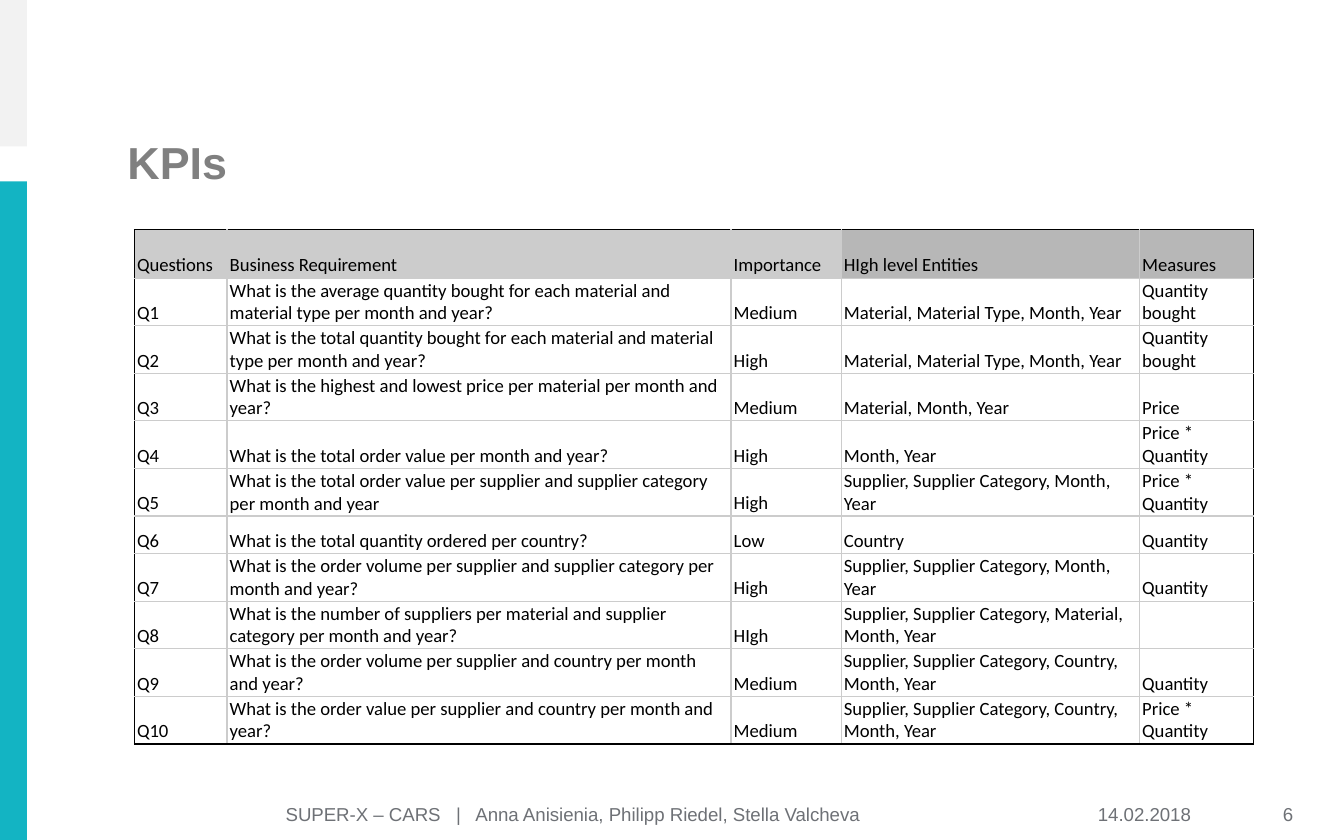
from lxml import etree
from pptx import Presentation
from pptx.dml.color import RGBColor
from pptx.enum.shapes import MSO_SHAPE
from pptx.enum.text import MSO_ANCHOR, PP_ALIGN
from pptx.oxml.ns import qn
from pptx.util import Inches, Pt

RECTANGLE = MSO_SHAPE.RECTANGLE
LEFT, CENTER, RIGHT = PP_ALIGN.LEFT, PP_ALIGN.CENTER, PP_ALIGN.RIGHT
MIDDLE, BOTTOM = MSO_ANCHOR.MIDDLE, MSO_ANCHOR.BOTTOM

COLORS = {
    "teal": "13B4C3",
    "pale": "F2F2F2",
    "title": "808080",
    "footer": "6E7176",
    "text": "000000",
    "frame": "000000",
    "grid": "CCCCCC",
    "header": "CCCCCC",
    "header_dark": "B7B7B7",
}

HEADERS = ["Questions", "Business Requirement", "Importance", "HIgh level Entities", "Measures"]
HEADER_FILLS = ["header"] * 3 + ["header_dark"] * 2
QUESTIONS = [
    ("What is the average quantity bought for each material and material type per month and year?",
     "Medium", "Material, Material Type, Month, Year", "Quantity bought"),
    ("What is the total quantity bought for each material and material type per month and year?",
     "High", "Material, Material Type, Month, Year", "Quantity bought"),
    ("What is the highest and lowest price per material per month and year?",
     "Medium", "Material, Month, Year", "Price"),
    ("What is the total order value per month and year?",
     "High", "Month, Year", "Price * Quantity"),
    ("What is the total order value per supplier and supplier category per month and year",
     "High", "Supplier, Supplier Category, Month, Year", "Price * Quantity"),
    ("What is the total quantity ordered per country?",
     "Low", "Country", "Quantity"),
    ("What is the order volume per supplier and supplier category per month and year?",
     "High", "Supplier, Supplier Category, Month, Year", "Quantity"),
    ("What is the number of suppliers per material and supplier category per month and year?",
     "HIgh", "Supplier, Supplier Category, Material, Month, Year", ""),
    ("What is the order volume per supplier and country per month and year?",
     "Medium", "Supplier, Supplier Category, Country, Month, Year", "Quantity"),
    ("What is the order value per supplier and country per month and year?",
     "Medium", "Supplier, Supplier Category, Country, Month, Year", "Price * Quantity"),
]
COLUMN_WIDTHS = [0.69, 3.75, 0.82, 2.22, 0.85]
ROW_HEIGHTS = [0.36] + [0.34] * 5 + [0.28] + [0.34] * 4


def write_text(text_frame, text, font="Arial", size=10, color="text", bold=False, align=LEFT):
    paragraph = text_frame.paragraphs[0]
    paragraph.alignment = align
    run = paragraph.add_run()
    run.text = text
    run.font.name = font
    run.font.size = Pt(size)
    run.font.bold = bold
    run.font.color.rgb = RGBColor.from_string(COLORS[color])


def add_text_box(slide, box, text, **text_format):
    text_frame = slide.shapes.add_textbox(*map(Inches, box)).text_frame
    text_frame.word_wrap = True
    text_frame.vertical_anchor = MIDDLE
    write_text(text_frame, text, **text_format)


def add_bar(slide, box, color):
    bar = slide.shapes.add_shape(RECTANGLE, *map(Inches, box))
    bar.shadow.inherit = False
    bar.fill.solid()
    bar.fill.fore_color.rgb = RGBColor.from_string(COLORS[color])
    bar.line.fill.background()


def add_side_band(slide, box):
    left, top, width, height = box
    pale_height, teal_top = 1.09, 1.35
    add_bar(slide, (left, top, width, pale_height), "pale")
    add_bar(slide, (left, top + teal_top, width, height - teal_top), "teal")


def set_borders(cell, colors):
    """Draw the cell edges; colors run left, right, top, bottom."""
    properties = cell._tc.get_or_add_tcPr()
    for index, (tag, color) in enumerate(zip(("a:lnL", "a:lnR", "a:lnT", "a:lnB"), colors)):
        line = etree.Element(qn(tag), w=str(Pt(0.75)))
        fill = etree.SubElement(line, qn("a:solidFill"))
        etree.SubElement(fill, qn("a:srgbClr"), val=COLORS[color])
        properties.insert(index, line)


def format_cell(cell, text, fill, edges):
    cell.margin_left = cell.margin_right = Inches(0.02)
    cell.margin_top = cell.margin_bottom = Inches(0.01)
    cell.vertical_anchor = BOTTOM
    if fill:
        cell.fill.solid()
        cell.fill.fore_color.rgb = RGBColor.from_string(COLORS[fill])
    else:
        cell.fill.background()
    set_borders(cell, ["frame" if outer else "grid" for outer in edges])
    write_text(cell.text_frame, text, font="Calibri")


def add_kpi_table(slide, box):
    rows = [HEADERS] + [(f"Q{number}", *question) for number, question in enumerate(QUESTIONS, 1)]
    last_row, last_column = len(rows) - 1, len(HEADERS) - 1
    table = slide.shapes.add_table(len(rows), len(HEADERS), *map(Inches, box)).table
    table.first_row = table.horz_banding = False
    for column, width in zip(table.columns, COLUMN_WIDTHS):
        column.width = Inches(width)
    for row_index, (values, height) in enumerate(zip(rows, ROW_HEIGHTS)):
        table.rows[row_index].height = Inches(height)
        for column_index, text in enumerate(values):
            fill = HEADER_FILLS[column_index] if row_index == 0 else None
            edges = (column_index == 0, column_index == last_column,
                     row_index == 0, row_index == last_row)
            format_cell(table.cell(row_index, column_index), text, fill, edges)


def add_footer(slide, box):
    left, top, width, height = box
    parts = [
        (0, 6.82, "SUPER-X – CARS   |   Anna Anisienia, Philipp Riedel, Stella Valcheva", CENTER),
        (7.22, 0.95, "14.02.2018", LEFT),
        (width - 0.64, 0.64, "6", RIGHT),
    ]
    for offset, part_width, text, align in parts:
        add_text_box(slide, (left + offset, top, part_width, height), text,
                     color="footer", align=align)


def main():
    presentation = Presentation()
    presentation.slide_width = Inches(10)
    presentation.slide_height = Inches(6.25)
    slide = presentation.slides.add_slide(presentation.slide_layouts[6])
    add_side_band(slide, (0, 0, 0.2, 6.25))
    add_text_box(slide, (0.85, 0.86, 6.82, 0.69), "KPIs", size=24, color="title", bold=True)
    add_kpi_table(slide, (1, 1.71, sum(COLUMN_WIDTHS), sum(ROW_HEIGHTS)))
    add_footer(slide, (0.85, 5.9, 8.87, 0.32))
    presentation.save("out.pptx")


if __name__ == "__main__":
    main()
